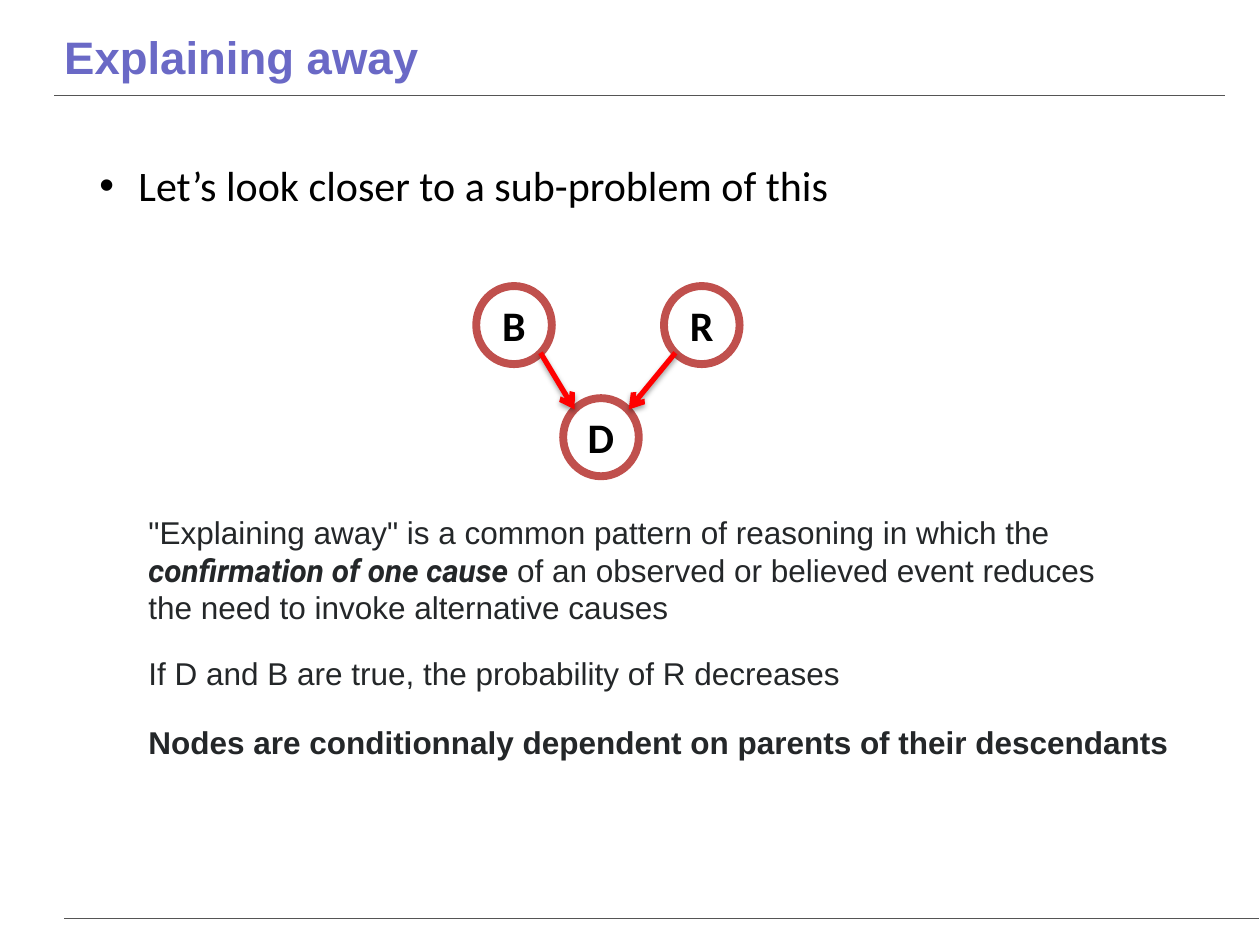
from lxml.etree import SubElement
from pptx import Presentation
from pptx.dml.color import RGBColor
from pptx.enum.shapes import MSO_CONNECTOR, MSO_SHAPE
from pptx.enum.text import MSO_ANCHOR, MSO_AUTO_SIZE, PP_ALIGN
from pptx.oxml.ns import qn
from pptx.util import Inches, Pt

presentation = Presentation()
presentation.slide_width = Inches(10)
presentation.slide_height = Inches(7.5)
column = presentation.slide_width / 100
row = presentation.slide_height / 75
slide = presentation.slides.add_slide(presentation.slide_layouts[5])


def add_run(paragraph, text, size, font, color, bold=False, italic=False):
    run = paragraph.add_run()
    run.text = text
    run.font.size = Pt(size)
    run.font.name = font
    run.font.bold = bold
    run.font.italic = italic
    run.font.color.rgb = RGBColor.from_string(color)


def add_line(start, end, color, width):
    line = slide.shapes.add_connector(
        MSO_CONNECTOR.STRAIGHT,
        int(start[0] * column), int(start[1] * row),
        int(end[0] * column), int(end[1] * row),
    )
    line.line.color.rgb = RGBColor.from_string(color)
    line.line.width = Pt(width)
    effects = SubElement(line._element.spPr, qn("a:effectLst"))
    return line, effects


add_line((4.3, 7.6), (97.2, 7.6), "555555", 0.5)
add_line((5.1, 72.9), (99.9, 72.9), "555555", 1)

title = slide.shapes.title
title.left, title.top = int(4.1 * column), int(0.9 * row)
title.width, title.height = int(85.2 * column), int(7.2 * row)
title.text_frame.vertical_anchor = MSO_ANCHOR.MIDDLE
title.text_frame.auto_size = MSO_AUTO_SIZE.NONE
title_paragraph = title.text_frame.paragraphs[0]
title_paragraph.alignment = PP_ALIGN.LEFT
add_run(title_paragraph, "Explaining away", 26, "Arial", "6A69C6", bold=True)

for name, left, top in [("B", 37.8, 22.7), ("R", 52.7, 22.7), ("D", 44.7, 31.6)]:
    node = slide.shapes.add_shape(
        MSO_SHAPE.OVAL, int(left * column), int(top * row), int(6 * column), int(6.2 * row)
    )
    node.shadow.inherit = False
    node.fill.solid()
    node.fill.fore_color.rgb = RGBColor.from_string("FFFFFF")
    node.line.color.rgb = RGBColor.from_string("C0504D")
    node.line.width = Pt(4.5)
    frame = node.text_frame
    frame.word_wrap = False
    frame.vertical_anchor = MSO_ANCHOR.MIDDLE
    frame.paragraphs[0].alignment = PP_ALIGN.CENTER
    add_run(frame.paragraphs[0], name, 24, "Calibri", "000000", bold=True)

for start, end in [((42.9, 28), (45.6, 32.5)), ((53.6, 28), (49.9, 32.5))]:
    arrow, effects = add_line(start, end, "FF0000", 3)
    SubElement(arrow.line._get_or_add_ln(), qn("a:tailEnd"), type="arrow")
    shadow = SubElement(
        effects, qn("a:outerShdw"), blurRad=str(Pt(3.1)), dist=str(Pt(1.6)),
        dir="5400000", rotWithShape="0",
    )
    shadow_color = SubElement(shadow, qn("a:srgbClr"), val="000000")
    SubElement(shadow_color, qn("a:alpha"), val="38000")

texts = [
    (6.9, 12.2, 60.5, 5, False, [
        ("Let’s look closer to a sub-problem of this", 24, "Calibri", "000000"),
    ]),
    (10.8, 40.2, 78.4, 10.1, True, [
        ('"Explaining away" is a common pattern of reasoning in which the ', 18, "Arial", "242729"),
        ("confirmation of one cause", 18, "Roboto", "242729", True, True),
        (" of an observed or believed event reduces the need to invoke alternative causes",
         18, "Arial", "242729"),
    ]),
    (10.8, 51.4, 78.4, 4, True, [
        ("If D and B are true, the probability of R decreases", 18, "Arial", "242729"),
    ]),
    (10.8, 56.9, 84.2, 4, True, [
        ("Nodes are conditionnaly dependent on parents of their descendants",
         18, "Arial", "242729", True),
    ]),
]
for left, top, width, height, wrap, runs in texts:
    box = slide.shapes.add_textbox(
        int(left * column), int(top * row), int(width * column), int(height * row)
    )
    frame = box.text_frame
    frame.word_wrap = wrap
    frame.auto_size = MSO_AUTO_SIZE.SHAPE_TO_FIT_TEXT
    paragraph = frame.paragraphs[0]
    if not wrap:
        properties = paragraph._p.get_or_add_pPr()
        properties.set("marL", str(Inches(0.31)))
        properties.set("indent", str(Inches(-0.31)))
        SubElement(properties, qn("a:buFont"), typeface="Arial")
        SubElement(properties, qn("a:buChar"), char="•")
    for run in runs:
        add_run(paragraph, *run)

presentation.save("out.pptx")
